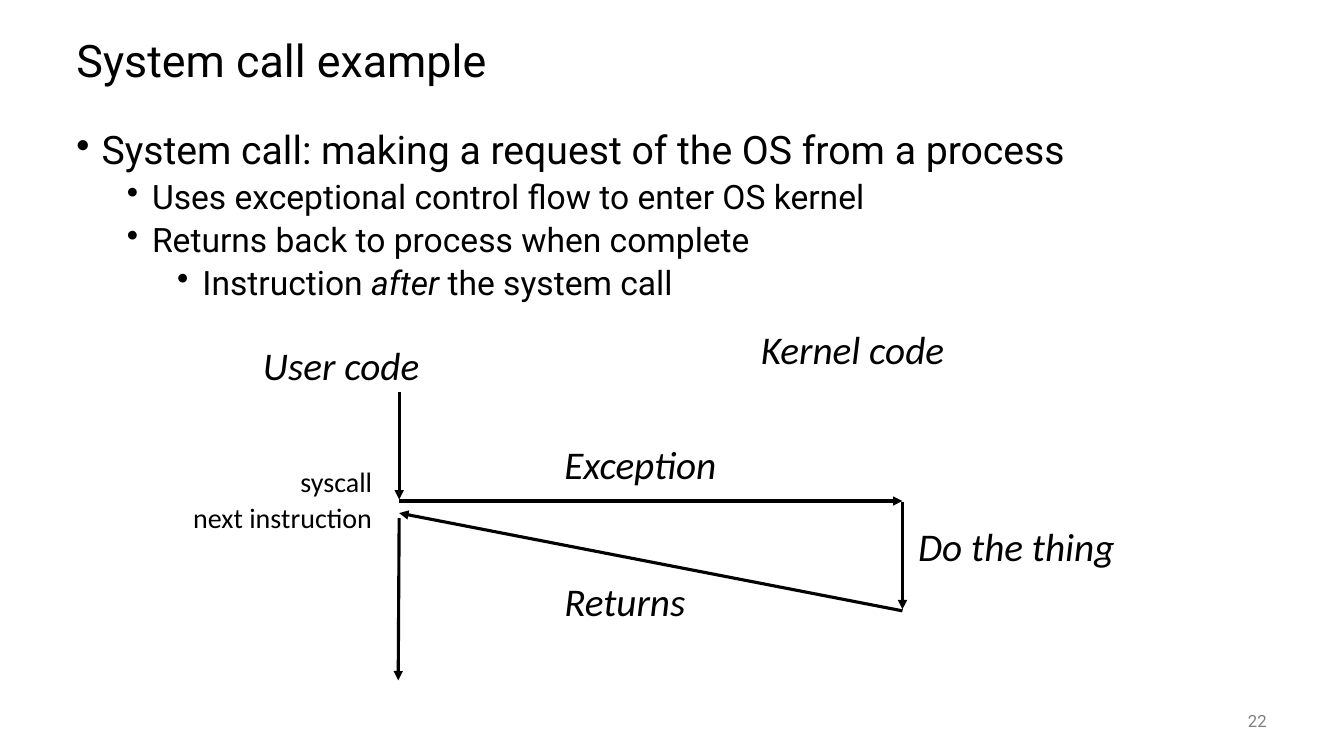
from pptx import Presentation
from pptx.dml.color import RGBColor
from pptx.enum.shapes import MSO_CONNECTOR
from pptx.enum.text import MSO_ANCHOR, PP_ALIGN
from pptx.oxml.ns import qn
from pptx.util import Inches, Pt
from lxml.etree import SubElement

COLORS = {"ink": "000000", "muted": "808080"}
WIDE, HIGH = Inches(13.333), Inches(7.5)
COL, ROW = WIDE / 100, HIGH / 100  # all lengths are hundredths of the slide


def style(par, size, face, color="ink"):
    for run in par.runs:
        run.font.size = Pt(size)
        run.font.name = face
        run.font.color.rgb = RGBColor.from_string(COLORS[color])


def add_box(slide, box, wrap=True, anchor=MSO_ANCHOR.TOP):
    x, y, w, h = box
    shape = slide.shapes.add_textbox(
        round(x * COL), round(y * ROW), round(w * COL), round(h * ROW))
    frame = shape.text_frame
    frame.word_wrap = wrap
    frame.vertical_anchor = anchor
    return frame


def add_title(slide, box, text):
    frame = add_box(slide, box, anchor=MSO_ANCHOR.MIDDLE)
    frame.text = text
    par = frame.paragraphs[0]
    par.line_spacing = 0.9
    style(par, 32, "Roboto")


def add_list(slide, box, items):
    frame = add_box(slide, box)
    for i, (level, parts) in enumerate(items):
        par = frame.add_paragraph() if i else frame.paragraphs[0]
        par.level = level
        par.line_spacing = 0.9
        par.space_before = Pt(5 if i else 0)
        # Hanging bullet, half an inch deeper per level
        props = par._p.get_or_add_pPr()
        props.set("marL", str(Inches(0.25 + 0.5 * level)))
        props.set("indent", str(-Inches(0.25)))
        SubElement(props, qn("a:buChar")).set("char", "•")
        # Every second part is stressed
        for j, part in enumerate(parts):
            run = par.add_run()
            run.text = part
            run.font.italic = j % 2 == 1
        style(par, 24 if level else 28, "Roboto")


def add_number(slide, box, text):
    frame = add_box(slide, box, anchor=MSO_ANCHOR.MIDDLE)
    frame.text = text
    par = frame.paragraphs[0]
    par.alignment = PP_ALIGN.RIGHT
    style(par, 12, "Roboto", "muted")


def add_arrow(slide, start, end):
    (x1, y1), (x2, y2) = start, end
    line = slide.shapes.add_connector(
        MSO_CONNECTOR.STRAIGHT, round(x1 * COL), round(y1 * ROW),
        round(x2 * COL), round(y2 * ROW))
    line.line.width = Pt(2.25)
    line.line.color.rgb = RGBColor.from_string(COLORS["ink"])
    SubElement(line.line._get_or_add_ln(), qn("a:tailEnd")).set("type", "triangle")
    SubElement(line._element.spPr, qn("a:effectLst"))


def add_flow(slide, box):
    left, top, _, high = box
    user, kernel = 24.75, 62.2  # the two timelines
    call, back, done = 23.87, 25.47, 38.4  # the moments of the call

    # Arrows in order of time
    arrows = [
        ((user, 9.47), (user, call - 0.2)),
        ((user, call), (kernel, call)),
        ((kernel, call + 0.1), (kernel, done - 0.2)),
        ((kernel, done), (user, back)),
        ((user, back + 0.67), (user - 0.07, high)),
    ]
    for (x1, y1), (x2, y2) in arrows:
        add_arrow(slide, (left + x1, top + y1), (left + x2, top + y2))

    # Names of the sides and steps
    steps = [
        ("User code", 13.88, 2.13, 13.28),
        ("Kernel code", 50.93, 0, 15.3),
        ("Exception", 36.3, 15.2, 12.9),
        ("Do the thing", 62.63, 26, 16.2),
        ("Returns", 36.3, 33.33, 10.58),
    ]
    for text, x, y, w in steps:
        frame = add_box(slide, (left + x, top + y, w, 7.6), wrap=False)
        frame.text = text
        style(frame.paragraphs[0], 28, "Calibri")
        frame.paragraphs[0].runs[0].font.italic = True

    # Instructions beside the user timeline
    edge = 23.48
    for text, y, w in [("syscall", 18.4, 6.9), ("next instruction", 23.2, edge)]:
        frame = add_box(slide, (left + edge - w, top + y, w, 5.87))
        frame.text = text
        frame.paragraphs[0].alignment = PP_ALIGN.RIGHT
        style(frame.paragraphs[0], 20, "Calibri")


def main():
    deck = Presentation()
    deck.slide_width, deck.slide_height = WIDE, HIGH
    slide = deck.slides.add_slide(deck.slide_layouts[6])
    add_title(slide, (4.95, 3.33, 90, 10), "System call example")
    add_list(slide, (4.95, 16.67, 90, 73.33), [
        (0, ["System call: making a request of the OS from a process"]),
        (1, ["Uses exceptional control flow to enter OS kernel"]),
        (1, ["Returns back to process when complete"]),
        (2, ["Instruction ", "after", " the system call"]),
    ])
    add_number(slide, (87.5, 92.67, 7.5, 5.33), "22")
    add_flow(slide, (4.95, 42.4, 78.8, 47.6))
    deck.save("out.pptx")


if __name__ == "__main__":
    main()
